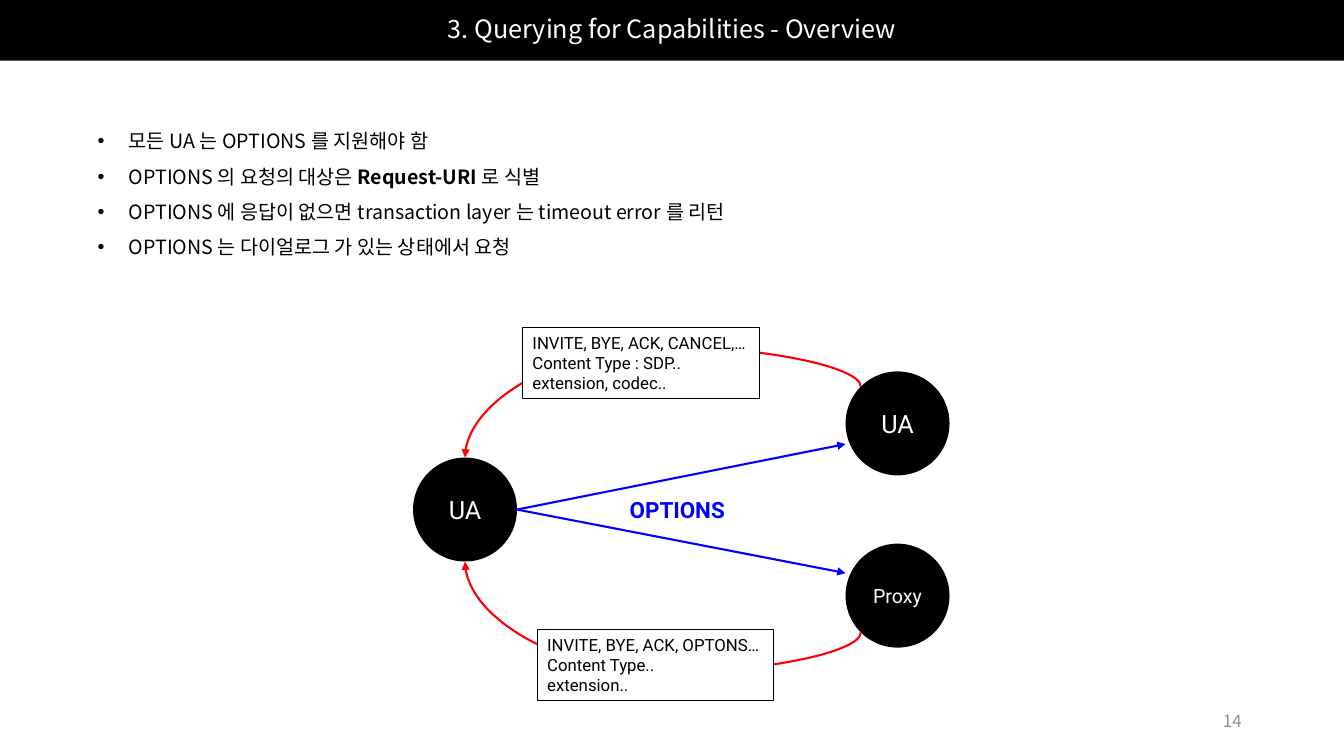
from math import sqrt

from lxml.etree import SubElement
from pptx import Presentation
from pptx.dml.color import RGBColor
from pptx.enum.shapes import MSO_CONNECTOR, MSO_SHAPE
from pptx.enum.text import MSO_ANCHOR, MSO_AUTO_SIZE, PP_ALIGN
from pptx.oxml.ns import qn
from pptx.util import Cm, Pt

COLORS = {
    "black": "000000",
    "white": "FFFFFF",
    "grey": "8C8C8C",
    "request": "0000FF",
    "response": "FF0000",
}
KOREAN_FONT = "Noto Sans CJK KR"
DIAGRAM_FONT = "Roboto"


class SlideBuilder:
    """Holds the slide and draws each kind of element; lengths are in cm."""

    def __init__(self, slide):
        self.shapes = slide.shapes

    def color(self, name):
        return RGBColor.from_string(COLORS[name])

    def fill_text(self, shape, paragraphs, size, color, font=DIAGRAM_FONT,
                  bold=None, align=PP_ALIGN.LEFT, anchor=MSO_ANCHOR.TOP,
                  spacing=None, wrap=True, grow=False, bullet_indent=None):
        """Fill a shape; each paragraph is a list of (text, bold) runs or a string."""
        frame = shape.text_frame
        frame.word_wrap = wrap
        frame.vertical_anchor = anchor
        if grow:
            frame.auto_size = MSO_AUTO_SIZE.SHAPE_TO_FIT_TEXT
        for index, content in enumerate(paragraphs):
            paragraph = frame.add_paragraph() if index else frame.paragraphs[0]
            paragraph.alignment = align
            if bullet_indent:
                self.add_bullet(paragraph, bullet_indent)
            if spacing:
                paragraph.line_spacing = spacing
            paragraph.font.size = Pt(size)
            paragraph.font.bold = bold
            paragraph.font.name = font
            paragraph.font.color.rgb = self.color(color)
            SubElement(paragraph.font._element, qn("a:ea"), typeface=font)
            runs = [(content, None)] if isinstance(content, str) else content
            for text, run_bold in runs:
                run = paragraph.add_run()
                run.text = text
                run.font.bold = run_bold

    def add_bullet(self, paragraph, indent):
        properties = paragraph._p.get_or_add_pPr()
        properties.set("marL", str(Cm(indent)))
        properties.set("indent", str(-Cm(indent)))
        SubElement(properties, qn("a:buFont"), typeface="Arial")
        SubElement(properties, qn("a:buChar"), char="•")

    def text(self, left, top, width, height, paragraphs, **style):
        box = self.shapes.add_textbox(Cm(left), Cm(top), Cm(width), Cm(height))
        self.fill_text(box, paragraphs, **style)

    def block(self, kind, left, top, width, height, fill, paragraphs,
              outline=None, **style):
        block = self.shapes.add_shape(kind, Cm(left), Cm(top), Cm(width), Cm(height))
        block.shadow.inherit = False
        block.fill.solid()
        block.fill.fore_color.rgb = self.color(fill)
        if outline:
            block.line.color.rgb = self.color(outline)
            block.line.width = Pt(0.75)
        else:
            block.line.fill.background()
        self.fill_text(block, paragraphs, **style)

    def node(self, center_x, center_y, radius, label, size):
        self.block(MSO_SHAPE.OVAL, center_x - radius, center_y - radius,
                   2 * radius, 2 * radius, "black", [label], size=size,
                   color="white", align=PP_ALIGN.CENTER,
                   anchor=MSO_ANCHOR.MIDDLE, wrap=False)

    def arrow(self, kind, start, end, color):
        arrow = self.shapes.add_connector(
            kind, *(Cm(length) for length in (*start, *end)))
        arrow.line.color.rgb = self.color(color)
        arrow.line.width = Pt(1.5)
        SubElement(arrow.line._get_or_add_ln(), qn("a:tailEnd"), type="triangle")
        SubElement(arrow._element.spPr, qn("a:effectLst"))
        return arrow

    def arc(self, start, end, bulge, color):
        """Curve leftwards, leaving and arriving vertically, bulging past its start."""
        middle_x, middle_y = ((a + b) / 2 for a, b in zip(start, end))
        across, rise = start[0] - end[0], end[1] - start[1]
        half_width, half_height = abs(rise) / 2, across / 2
        side = 1 if rise > 0 else -1
        # The connector is laid out upright, then turned a quarter.
        arc = self.arrow(MSO_CONNECTOR.CURVE,
                         (middle_x + half_width, middle_y + side * half_height),
                         (middle_x - half_width, middle_y - side * half_height),
                         color)
        arc._element.spPr.find(qn("a:xfrm")).set(
            "rot", str((270 if rise > 0 else 90) * 60000))
        adjustments = arc._element.spPr.find(qn("a:prstGeom")).get_or_add_avLst()
        SubElement(adjustments, qn("a:gd"), name="adj1",
                   fmla=f"val {round(-bulge / abs(rise) * 100000)}")


def main():
    presentation = Presentation()
    presentation.slide_width, presentation.slide_height = Cm(33.87), Cm(19.05)
    builder = SlideBuilder(
        presentation.slides.add_slide(presentation.slide_layouts[6]))

    builder.block(MSO_SHAPE.RECTANGLE, 0, 0, 33.87, 1.53, "black",
                  ["3. Querying for Capabilities - Overview"], size=18,
                  color="white", font=KOREAN_FONT, align=PP_ALIGN.CENTER,
                  anchor=MSO_ANCHOR.MIDDLE, spacing=0.9)
    builder.text(23.92, 17.66, 7.62, 1.01, ["14"], size=12, color="grey",
                 font=KOREAN_FONT, align=PP_ALIGN.RIGHT, anchor=MSO_ANCHOR.MIDDLE)

    radius = 1.31
    caller_x, caller_y = 11.72, 12.84
    responder_x, responder_offset = 22.62, 2.17
    # side (-1 above, 1 below), label, label size, request end offset
    responders = [(-1, "UA", 18, 1.65), (1, "Proxy", 14, 1.6)]

    builder.node(caller_x, caller_y, radius, "UA", 18)
    for side, label, size, request_offset in responders:
        responder_y = caller_y + side * responder_offset
        builder.node(responder_x, responder_y, radius, label, size)
        builder.arrow(MSO_CONNECTOR.STRAIGHT, (caller_x + radius, caller_y),
                      (responder_x - radius, caller_y + side * request_offset),
                      "request")
        diagonal = radius / sqrt(2)
        builder.arc((responder_x - diagonal, responder_y + side * diagonal),
                    (caller_x, caller_y + side * radius), 1.01, "response")
    builder.text(15.62, 12.37, 2.95, 0.94, ["OPTIONS"], size=16, color="request",
                 bold=True, wrap=False, grow=True)

    answers = [
        (13.17, 8.25, ["INVITE, BYE, ACK, CANCEL,…", "Content Type : SDP..",
                       "extension, codec.."]),
        (13.54, 15.86, ["INVITE, BYE, ACK, OPTONS…", "Content Type..",
                        "extension.."]),
    ]
    for left, top, lines in answers:
        builder.block(MSO_SHAPE.RECTANGLE, left, top, 5.96, 1.8, "white", lines,
                      outline="black", size=12, color="black", wrap=False,
                      grow=True)

    points = [
        "모든 UA 는 OPTIONS 를 지원해야 함",
        [("OPTIONS 의 요청의 대상은 ", None), ("Request-URI ", True),
         ("로 식별", None)],
        "OPTIONS 에 응답이 없으면 transaction layer 는 timeout error 를 리턴",
        "OPTIONS 는 다이얼로그 가 있는 상태에서 요청",
    ]
    builder.text(2.21, 2.84, 20.47, 3.73, points, size=14, color="black",
                 font=KOREAN_FONT, spacing=1.5, grow=True, bullet_indent=0.79)

    presentation.save("out.pptx")


if __name__ == "__main__":
    main()
